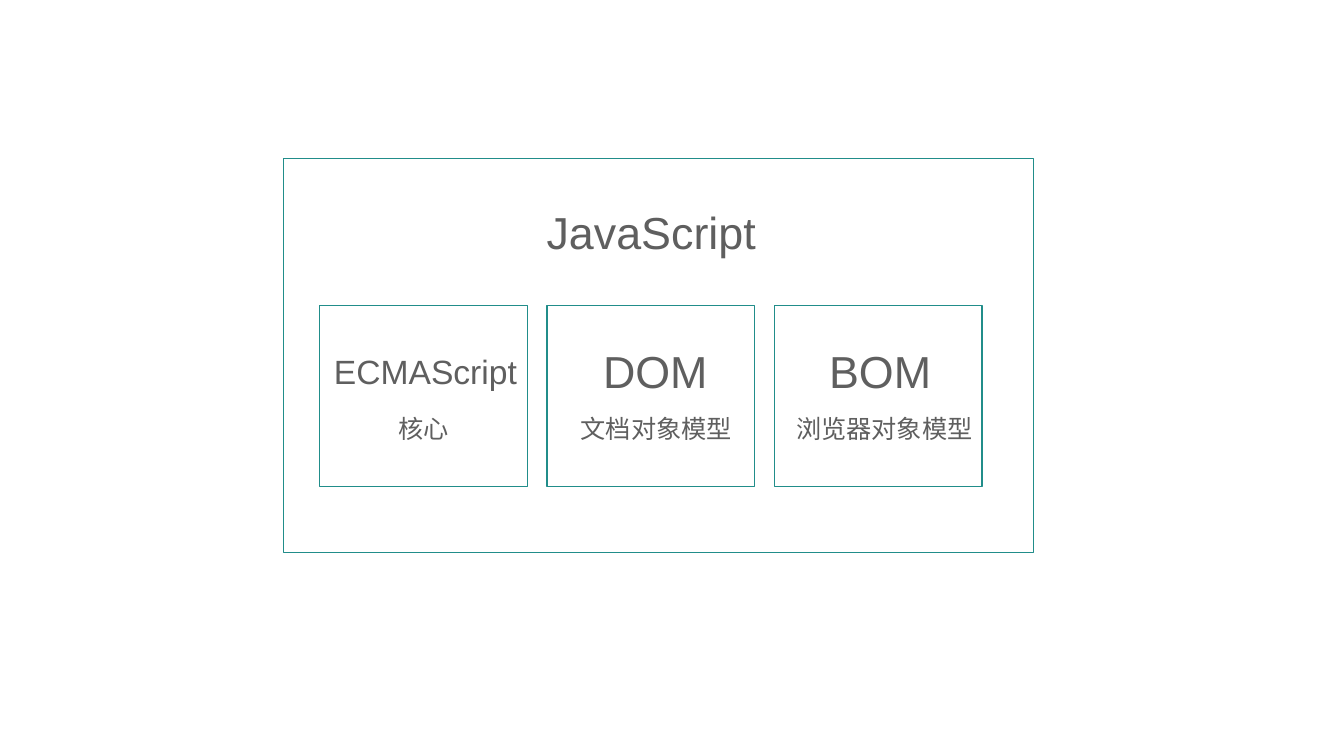
import pptx
import pptx.util
import pptx.dml.color
import pptx.enum.shapes
import pptx.enum.text

Inches = pptx.util.Inches
COLORS = {"outline": "218D8A", "text": "5F5F5F"}
FONT = "Arial"
LANGUAGE = "JavaScript"
PARTS = [
    {"name": "ECMAScript", "size": 24, "name_center": 4.22, "meaning": "核心", "meaning_center": 4.2},
    {"name": "DOM", "size": 32, "name_center": 6.5, "meaning": "文档对象模型", "meaning_center": 6.51},
    {"name": "BOM", "size": 32, "name_center": 8.73, "meaning": "浏览器对象模型", "meaning_center": 8.77},
]
PART_LEFT, PART_TOP, PART_WIDTH, PART_HEIGHT = 3.17, 3.03, 2.06, 1.8
PART_STEP = 2.255
NAME_MIDDLE, MEANING_MIDDLE = 3.68, 4.25


def color(name):
    return pptx.dml.color.RGBColor.from_string(COLORS[name])


def add_frame(slide, left, top, width, height):
    frame = slide.shapes.add_shape(
        pptx.enum.shapes.MSO_SHAPE.RECTANGLE,
        Inches(left), Inches(top), Inches(width), Inches(height))
    frame.shadow.inherit = False
    frame.fill.background()
    frame.line.color.rgb = color("outline")
    frame.line.width = pptx.util.Pt(1)


def write_label(label, text, size):
    words = label.text_frame
    words.text = text
    words.word_wrap = False
    words.auto_size = pptx.enum.text.MSO_AUTO_SIZE.SHAPE_TO_FIT_TEXT
    words.vertical_anchor = pptx.enum.text.MSO_ANCHOR.MIDDLE
    line = words.paragraphs[0]
    line.alignment = pptx.enum.text.PP_ALIGN.CENTER
    line.line_spacing = 1.0
    line.font.name = FONT
    line.font.size = pptx.util.Pt(size)
    line.font.color.rgb = color("text")


def add_label(slide, center, middle, width, height, text, size):
    label = slide.shapes.add_textbox(
        Inches(center - width / 2), Inches(middle - height / 2), Inches(width), Inches(height))
    write_label(label, text, size)


def main():
    deck = pptx.Presentation()
    deck.slide_width, deck.slide_height = Inches(13.33), Inches(7.5)
    slide = deck.slides.add_slide(deck.slide_layouts[5])

    title = slide.shapes.title
    title.left, title.top = Inches(5.31), Inches(1.98)
    title.width, title.height = Inches(2.3), Inches(0.64)
    write_label(title, LANGUAGE, 32)

    add_frame(slide, 2.81, 1.57, 7.44, 3.91)
    for index, part in enumerate(PARTS):
        add_frame(slide, PART_LEFT + index * PART_STEP, PART_TOP, PART_WIDTH, PART_HEIGHT)
        name_height = part["size"] / 50
        add_label(slide, part["name_center"], NAME_MIDDLE, PART_WIDTH, name_height,
                  part["name"], part["size"])
        add_label(slide, part["meaning_center"], MEANING_MIDDLE, PART_WIDTH, 0.4,
                  part["meaning"], 18)

    deck.save("out.pptx")


if __name__ == "__main__":
    main()
